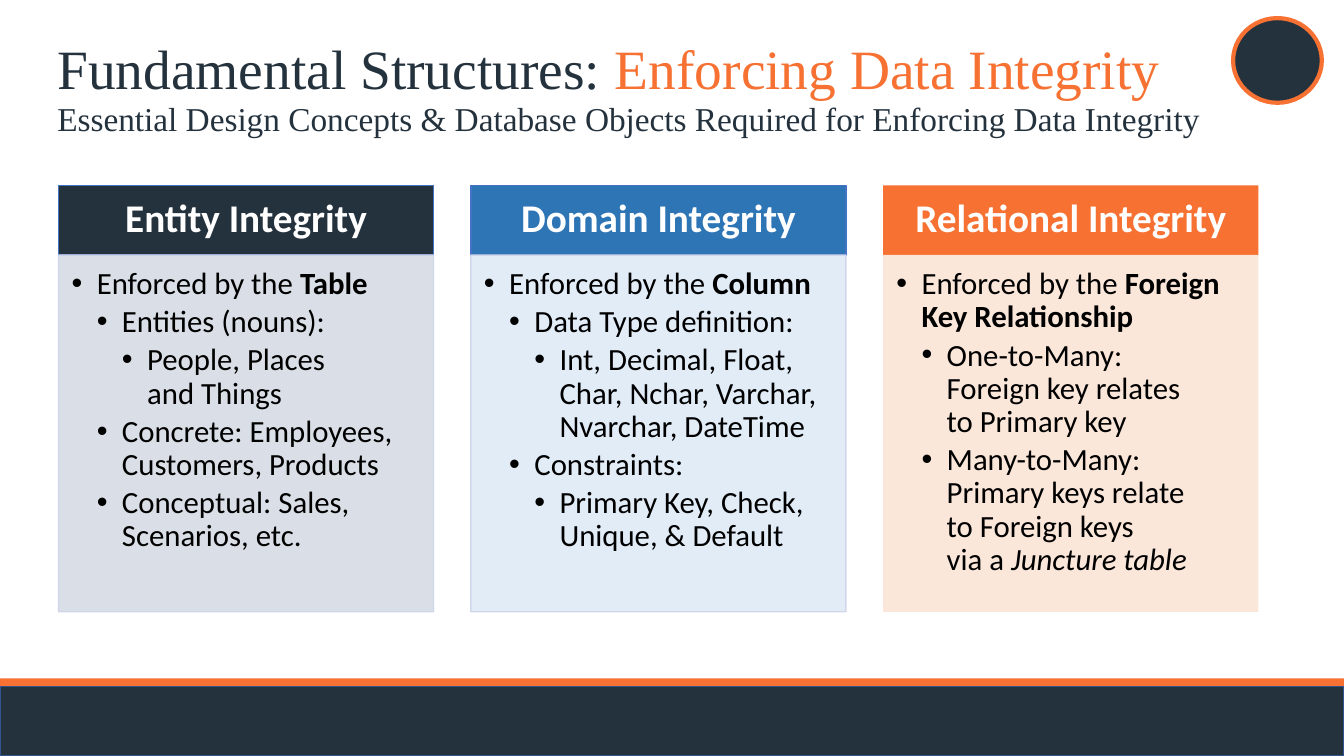
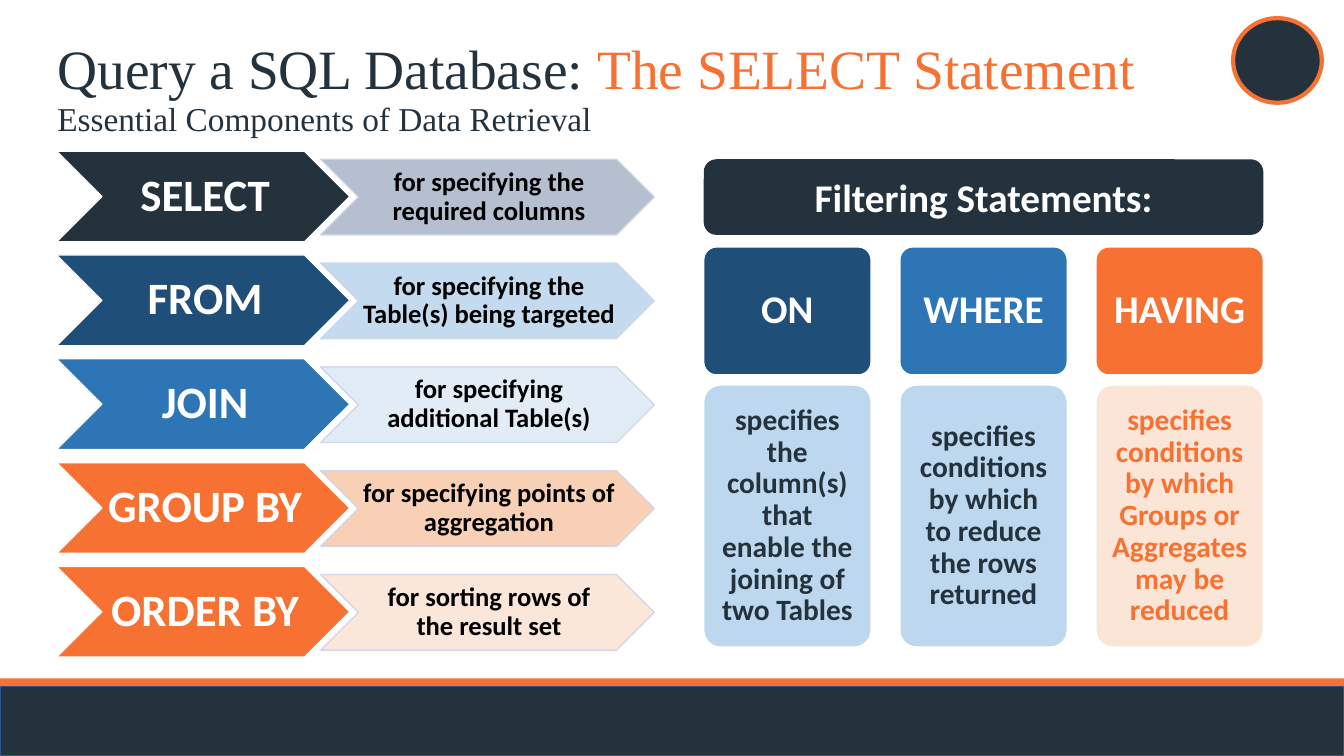
from lxml.etree import SubElement
from pptx import Presentation
from pptx.dml.color import RGBColor
from pptx.enum.shapes import MSO_SHAPE
from pptx.enum.text import MSO_ANCHOR, PP_ALIGN
from pptx.oxml.ns import qn
from pptx.util import Inches, Pt

# Shared colours and fonts
NAVY, BLUE, MIDNIGHT, ORANGE = "24323E", "2E75B6", "1F4E79", "F67132"
PALE_BLUE, SKY, PEACH, PALE_PEACH = "DEEBF7", "BDD7EE", "F8CBAD", "FBE5D6"
GREY, SLATE, EDGE = "D6DCE5", "ADB9CA", "CFD5EA"
WHITE, BLACK, HEADER_EDGE, FOOTER_EDGE = "FFFFFF", "000000", "4472C4", "325491"
SERIF, SANS = "Times New Roman", "Calibri"
SLIDE_WIDTH, SLIDE_HEIGHT = 13.33, 7.5

# Shared text formats
TITLE = {"name": SERIF, "size": Pt(39.6), "color": NAVY}
SUBTITLE = {"name": SERIF, "size": Pt(23.8), "color": NAVY}
HEADING = {"name": SANS, "size": Pt(28), "color": WHITE, "bold": True}
KEYWORD = HEADING | {"size": Pt(32)}
PURPOSE = HEADING | {"size": Pt(19), "color": BLACK}
DETAIL = HEADING | {"size": Pt(21)}
BULLET = {"name": SANS, "size": Pt(22), "color": BLACK}
CENTERED = {"alignment": PP_ALIGN.CENTER, "line_spacing": 0.9}
BOLD, ITALIC = {"bold": True}, {"italic": True}


def rgb(color):
    return RGBColor.from_string(color)


def set_all(target, values):
    for name, value in values.items():
        setattr(target, name, value)


def set_frame(frame, insets, anchor):
    sides = ("margin_left", "margin_top", "margin_right", "margin_bottom")
    set_all(frame, {side: Inches(inset) for side, inset in zip(sides, insets)})
    set_all(frame, {"word_wrap": True, "vertical_anchor": anchor})


def write_spans(para, spans, text_format, para_format):
    """Write (text, changes) pairs; a newline is a line break."""
    set_all(para, para_format)
    for text, changes in spans:
        for number, line in enumerate(text.split("\n")):
            if number:
                para.add_line_break()
            span = para.add_run()
            span.text = line
            values = text_format | changes
            span.font.color.rgb = rgb(values["color"])
            set_all(span.font, {key: values[key] for key in values if key != "color"})


def add_label(shape, text, text_format, insets=(0.1, 0.05, 0.1, 0.05), para_format=CENTERED):
    set_frame(shape.text_frame, insets, MSO_ANCHOR.MIDDLE)
    write_spans(shape.text_frame.paragraphs[0], [(text, {})], text_format, para_format)


def set_opacity(fill_parent, percent):
    for color in fill_parent.iter(qn("a:srgbClr")):
        SubElement(color, qn("a:alpha"), val=str(percent * 1000))


def add_part(page, kind, box, fill, line=None, width=1, opacity=100, corner=None):
    shape = page.shapes.add_shape(kind, *map(Inches, box))
    shape.shadow.inherit = False
    shape.fill.solid()
    shape.fill.fore_color.rgb = rgb(fill)
    if line:
        shape.line.color.rgb = rgb(line)
        shape.line.width = Pt(width)
    else:
        shape.line.fill.background()
    if opacity < 100:
        set_opacity(shape._element.spPr, opacity)
    if corner:
        shape.adjustments[0] = corner
    return shape


def add_text(page, box, spans, text_format, anchor, para_format):
    frame = page.shapes.add_textbox(*map(Inches, box)).text_frame
    set_frame(frame, (0.1, 0.05, 0.1, 0.05), anchor)
    write_spans(frame.paragraphs[0], spans, text_format, para_format)


def add_page(deck, topic, accent, subtitle):
    """Blank page with the shared footer, badge and two-colour title."""
    page = deck.slides.add_slide(deck.slide_layouts[6])
    footer_top = 6.81
    add_part(page, MSO_SHAPE.RECTANGLE, (0, footer_top - 0.08, SLIDE_WIDTH, 0.28), ORANGE)
    add_part(page, MSO_SHAPE.RECTANGLE,
             (0, footer_top, SLIDE_WIDTH, SLIDE_HEIGHT - footer_top), NAVY, FOOTER_EDGE)
    add_part(page, MSO_SHAPE.OVAL, (12.23, 0.18, 0.88, 0.84), NAVY, ORANGE, 3)
    add_text(page, (0.47, 0.4, 11.7, 0.62), [(topic, {}), (accent, {"color": ORANGE})],
             TITLE, MSO_ANCHOR.MIDDLE, {"line_spacing": 0.9})
    add_text(page, (0.47, 1.03, 12.02, 0.4), [(subtitle, {})],
             SUBTITLE, MSO_ANCHOR.TOP, {"line_spacing": 0.7})
    return page


def add_bullets(frame, bullets):
    """Write (level, spans) pairs as an indented bullet list."""
    set_frame(frame, (0.13, 0.13, 0.17, 0.19), MSO_ANCHOR.TOP)
    step = Inches(0.25)
    for number, (level, spans) in enumerate(bullets):
        para = frame.add_paragraph() if number else frame.paragraphs[0]
        write_spans(para, spans, BULLET,
                    {"level": level, "alignment": PP_ALIGN.LEFT,
                     "line_spacing": 0.9, "space_after": Pt(3.5)})
        properties = para._p.get_or_add_pPr()
        properties.set("marL", str(step * level))
        properties.set("indent", str(-step))
        SubElement(properties, qn("a:buFont"), typeface="Arial")
        SubElement(properties, qn("a:buChar"), char="•")


def add_integrity_column(page, box, heading, colors, bullets):
    """Coloured header above a tinted bullet panel."""
    left, top, width, height = box
    header_height = 0.69
    header_fill, header_line, panel_fill, panel_line = colors
    header = add_part(page, MSO_SHAPE.RECTANGLE, (left, top, width, header_height),
                      header_fill, header_line)
    add_label(header, heading, HEADING, (0.22, 0.12, 0.22, 0.12))
    panel = add_part(page, MSO_SHAPE.RECTANGLE,
                     (left, top + header_height, width, height - header_height),
                     panel_fill, panel_line, opacity=90)
    add_bullets(panel.text_frame, bullets)


def add_clause_row(page, box, keyword, purpose, fill, tint):
    """Keyword chevron followed by a smaller chevron with its purpose."""
    left, top, width, height = box
    clause = add_part(page, MSO_SHAPE.CHEVRON, (left, top, 2.91, height), fill, WHITE)
    add_label(clause, keyword, KEYWORD, (0.04, 0.02, 0, 0.02))
    offset, margin = 2.62, 0.08
    note = add_part(page, MSO_SHAPE.CHEVRON,
                    (left + offset, top + margin, width - offset, height - 2 * margin + 0.01),
                    tint, EDGE, opacity=90)
    add_label(note, purpose, PURPOSE, (0.03, 0.01, 0, 0.01))


def add_filter_card(page, box, keyword, detail, colors):
    """Keyword tile above a taller tile with its explanation."""
    left, top, width, height = box
    fill, tint, ink = colors
    tile_height, gap = 1.27, 0.1
    detail_top = tile_height + gap
    tile = add_part(page, MSO_SHAPE.ROUNDED_RECTANGLE, (left, top, width, tile_height),
                    fill, WHITE, corner=0.1)
    add_label(tile, keyword, HEADING, [0.12] * 4)
    body = add_part(page, MSO_SHAPE.ROUNDED_RECTANGLE,
                    (left, top + detail_top, width, height - detail_top),
                    tint, WHITE, corner=0.1)
    add_label(body, detail, DETAIL | {"color": ink}, [0.09] * 4)


def add_filter_panel(page, box, heading, cards):
    """Banner over evenly spaced filter cards."""
    left, top, width, height = box
    banner = add_part(page, MSO_SHAPE.ROUNDED_RECTANGLE, (left, top, width, 0.75), NAVY)
    add_label(banner, heading, HEADING, para_format={"alignment": PP_ALIGN.CENTER})
    card_width, card_top = 1.66, 0.87
    pitch = (width - card_width) / (len(cards) - 1)
    for number, card in enumerate(cards):
        add_filter_card(page, (left + number * pitch, top + card_top,
                               card_width, height - card_top), *card)


def add_integrity_page(deck):
    page = add_page(deck, "Fundamental Structures: ", "Enforcing Data Integrity",
                    "Essential Design Concepts & Database Objects Required "
                    "for Enforcing Data Integrity")
    columns = [
        ("Entity Integrity", (NAVY, HEADER_EDGE, GREY, EDGE), [
            (1, [("Enforced by the ", {}), ("Table", BOLD)]),
            (2, [("Entities (nouns):", {})]),
            (3, [("People, Places\nand Things", {})]),
            (2, [("Concrete: Employees, Customers, Products", {})]),
            (2, [("Conceptual: Sales, Scenarios, etc.", {})]),
        ]),
        ("Domain Integrity", (BLUE, HEADER_EDGE, PALE_BLUE, EDGE), [
            (1, [("Enforced by the ", {}), ("Column", BOLD)]),
            (2, [("Data Type definition:", {})]),
            (3, [("Int, Decimal, Float, Char, Nchar, Varchar, Nvarchar, DateTime", {})]),
            (2, [("Constraints:", {})]),
            (3, [("Primary Key, Check, Unique, & Default", {})]),
        ]),
        ("Relational Integrity", (ORANGE, None, PALE_PEACH, None), [
            (1, [("Enforced by the ", {}), ("Foreign Key Relationship", BOLD)]),
            (2, [("One-to-Many:\nForeign key relates\nto Primary key", {})]),
            (2, [("Many-to-Many:\nPrimary keys relate\nto Foreign keys\nvia a ", {}),
                 ("Juncture table", ITALIC)]),
        ]),
    ]
    for number, column in enumerate(columns):
        add_integrity_column(page, (0.58 + number * 4.09, 1.84, 3.72, 4.23), *column)


def add_select_page(deck):
    page = add_page(deck, "Query a SQL Database: ", "The SELECT Statement",
                    "Essential Components of Data Retrieval")
    clauses = [
        ("SELECT", "for specifying the required columns", NAVY, SLATE),
        ("FROM", "for specifying the Table(s) being targeted", MIDNIGHT, SKY),
        ("JOIN", "for specifying additional Table(s)", BLUE, PALE_BLUE),
        ("GROUP BY", "for specifying points of aggregation", ORANGE, PEACH),
        ("ORDER BY", "for sorting rows of\nthe result set", ORANGE, PALE_PEACH),
    ]
    for number, clause in enumerate(clauses):
        add_clause_row(page, (0.56, 1.5 + number * 1.03, 5.93, 0.9), *clause)
    add_filter_panel(page, (6.98, 1.58, 5.55, 4.84), "Filtering Statements:", [
        ("ON", "specifies the column(s) that enable the joining of two Tables",
         (MIDNIGHT, SKY, NAVY)),
        ("WHERE", "specifies conditions by which to reduce the rows returned",
         (BLUE, SKY, NAVY)),
        ("HAVING", "specifies conditions by which Groups or Aggregates may be reduced",
         (ORANGE, PALE_PEACH, ORANGE)),
    ])


deck = Presentation()
deck.slide_width, deck.slide_height = Inches(SLIDE_WIDTH), Inches(SLIDE_HEIGHT)
add_integrity_page(deck)
add_select_page(deck)
deck.save("out.pptx")
